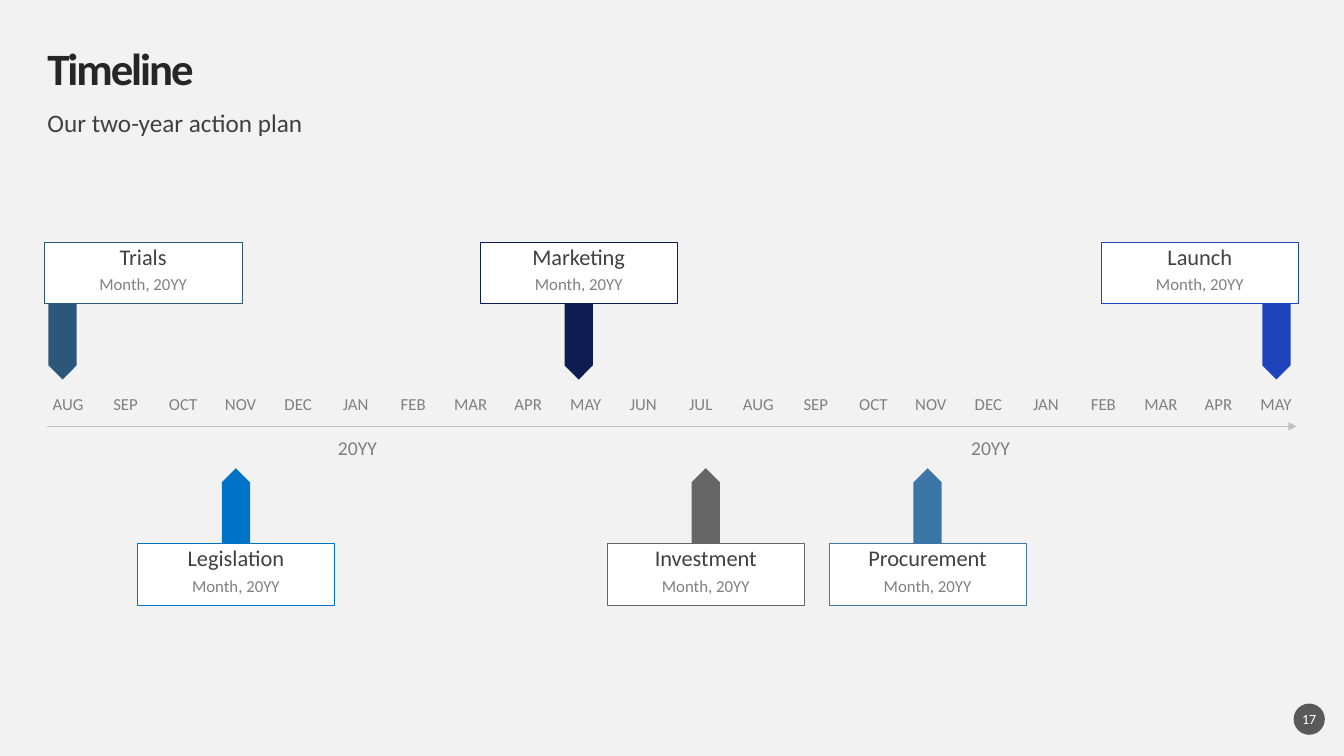
import pptx
import pptx.util
import pptx.dml.color
import pptx.enum.shapes
import pptx.enum.text
import pptx.oxml.ns
from dataclasses import dataclass
from lxml import etree

Inches = pptx.util.Inches
SHAPE = pptx.enum.shapes.MSO_SHAPE
ANCHOR = pptx.enum.text.MSO_ANCHOR
ALIGN = pptx.enum.text.PP_ALIGN
qn = pptx.oxml.ns.qn

TITLE = "Timeline"
SUBTITLE = "Our two-year action plan"
PAGE_NUMBER = "17"
MONTHS = ("AUG SEP OCT NOV DEC JAN FEB MAR APR MAY JUN "
          "JUL AUG SEP OCT NOV DEC JAN FEB MAR APR MAY").split()
YEARS = [("20YY", 3.32), ("20YY", 9.6)]  # label, left edge
DATE = "Month, 20YY"
# name, colour, row, card left, marker centre
MILESTONES = [
    ("Trials", "2C567A", "above", 0.44, 0.62),
    ("Legislation", "0072C7", "below", 1.36, 2.34),
    ("Marketing", "0D1D51", "above", 4.76, 5.74),
    ("Investment", "666666", "below", 6.02, 7.0),
    ("Procurement", "3C76A6", "below", 8.22, 9.2),
    ("Launch", "1E44BC", "above", 10.92, 12.66),
]


@dataclass(frozen=True)
class Theme:
    font: str = "Calibri"
    background: str = "F2F2F2"
    heading: str = "262626"
    text: str = "404040"
    muted: str = "808080"
    axis: str = "BFBFBF"
    badge: str = "595959"
    white: str = "FFFFFF"
    title_size: int = 32
    subtitle_size: int = 18
    name_size: int = 16
    year_size: int = 14
    small_size: int = 12
    badge_size: int = 10


THEME = Theme()
LEFT, RIGHT, AXIS_Y = 0.47, 12.86, 4.23
MONTH_W, MONTH_TOP = 0.41, 3.93
MONTH_STEP = (RIGHT - MONTH_W - LEFT) / (len(MONTHS) - 1)
CARD_W, CARD_H = 1.96, 0.61
DATE_W, DATE_DROP = 1.85, 0.34
MARKER_LENGTH, MARKER_WIDTH = 0.75, 0.28
# card top, marker middle, marker rotation
ROWS = {"above": (2.4, 3.39, 90), "below": (5.39, 5.02, 270)}


def rgb(colour):
    return pptx.dml.color.RGBColor.from_string(colour)


def write(box, text, *, size, colour, align=ALIGN.CENTER, anchor=ANCHOR.TOP,
          bold=False, spacing=0.9, top_inset=0):
    frame = box.text_frame
    frame.word_wrap = True
    frame.auto_size = pptx.enum.text.MSO_AUTO_SIZE.NONE
    frame.vertical_anchor = anchor
    frame.margin_left = frame.margin_right = frame.margin_bottom = 0
    frame.margin_top = Inches(top_inset)
    paragraph = frame.paragraphs[0]
    paragraph.alignment = align
    paragraph.line_spacing = spacing
    paragraph.space_before = pptx.util.Pt(0)
    run = paragraph.add_run()
    run.text = text
    run.font.name = THEME.font
    run.font.size = pptx.util.Pt(size)
    run.font.bold = bold
    run.font.color.rgb = rgb(colour)
    return run


def place(box, left, top, width, height):
    box.left, box.top = Inches(left), Inches(top)
    box.width, box.height = Inches(width), Inches(height)


def add_label(slide, text, left, top, width, height, **style):
    box = slide.shapes.add_textbox(*map(Inches, (left, top, width, height)))
    write(box, text, **style)


def add_filled(slide, preset, left, top, width, height, fill, line=None):
    shape = slide.shapes.add_shape(preset, *map(Inches, (left, top, width, height)))
    shape.shadow.inherit = False
    shape.fill.solid()
    shape.fill.fore_color.rgb = rgb(fill)
    if line:
        shape.line.color.rgb = rgb(line)
        shape.line.width = pptx.util.Pt(0.25)
    else:
        shape.line.fill.background()
    return shape


def add_headings(slide):
    title, subtitle = slide.shapes.title, slide.placeholders[1]
    place(title, LEFT, 0.47, RIGHT - LEFT, 0.47)
    run = write(title, TITLE, size=THEME.title_size, colour=THEME.heading,
                align=ALIGN.LEFT, anchor=ANCHOR.MIDDLE, bold=True)
    run.font._element.set("spc", "-150")
    place(subtitle, LEFT, 1.1, RIGHT - LEFT, 0.28)
    write(subtitle, SUBTITLE, size=THEME.subtitle_size, colour=THEME.text,
          align=ALIGN.LEFT)
    properties = subtitle.text_frame.paragraphs[0]._p.get_or_add_pPr()
    properties.set("marL", "0")
    properties.set("indent", "0")
    etree.SubElement(properties, qn("a:buNone"))


def add_axis(slide):
    axis = slide.shapes.add_connector(
        pptx.enum.shapes.MSO_CONNECTOR.STRAIGHT,
        *map(Inches, (LEFT, AXIS_Y, RIGHT, AXIS_Y)))
    axis.line.color.rgb = rgb(THEME.axis)
    axis.line.width = pptx.util.Pt(0.5)
    etree.SubElement(axis.line._get_or_add_ln(), qn("a:tailEnd"), type="triangle")
    etree.SubElement(axis._element.spPr, qn("a:effectLst"))
    for index, month in enumerate(MONTHS):
        add_label(slide, month, LEFT + index * MONTH_STEP, MONTH_TOP, MONTH_W, 0.22,
                  size=THEME.small_size, colour=THEME.muted)
    for year, left in YEARS:
        add_label(slide, year, left, 4.35, 0.45, 0.22, size=THEME.year_size,
                  colour=THEME.muted, anchor=ANCHOR.MIDDLE)


def add_milestone(slide, name, colour, row, card_left, marker_x):
    card_top, marker_y, rotation = ROWS[row]
    marker = add_filled(slide, SHAPE.PENTAGON, marker_x - MARKER_LENGTH / 2,
                        marker_y - MARKER_WIDTH / 2, MARKER_LENGTH, MARKER_WIDTH, colour)
    marker.rotation = rotation
    card = add_filled(slide, SHAPE.RECTANGLE, card_left, card_top, CARD_W, CARD_H,
                      THEME.white, line=colour)
    write(card, name, size=THEME.name_size, colour=THEME.text, top_inset=0.04)
    add_label(slide, DATE, card_left + (CARD_W - DATE_W) / 2, card_top + DATE_DROP,
              DATE_W, 0.25, size=THEME.small_size, colour=THEME.muted)


def main():
    deck = pptx.Presentation()
    deck.slide_width, deck.slide_height = Inches(13.33), Inches(7.5)
    slide = deck.slides.add_slide(deck.slide_layouts[1])
    slide.background.fill.solid()
    slide.background.fill.fore_color.rgb = rgb(THEME.background)
    add_headings(slide)
    add_axis(slide)
    for milestone in MILESTONES:
        add_milestone(slide, *milestone)
    badge = add_filled(slide, SHAPE.OVAL, 12.83, 6.98, 0.31, 0.31, THEME.badge)
    write(badge, PAGE_NUMBER, size=THEME.badge_size, colour=THEME.white,
          anchor=ANCHOR.MIDDLE, spacing=1.0)
    deck.save("out.pptx")


if __name__ == "__main__":
    main()
